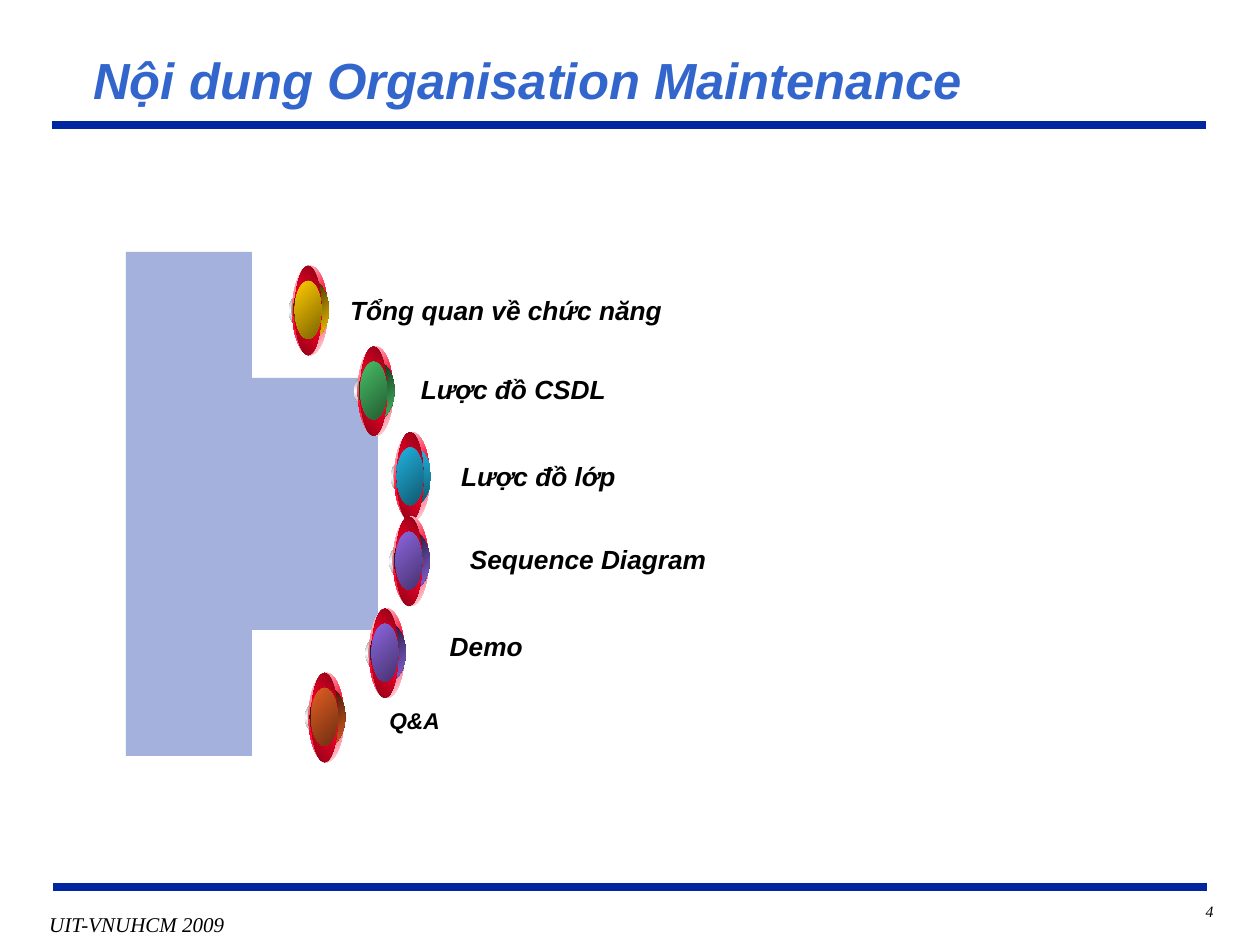
import math
from pptx import Presentation
from pptx import util as u
from pptx.dml.color import RGBColor
from pptx.enum import shapes, text
from pptx.oxml import ns
from lxml import etree

COLORS = {
    "navy": "00279F", "title": "3366CC", "black": "000000", "white": "FFFFFF",
    "gray": "767676", "silver": "A2A2A2", "red": "FC0128", "maroon": "880116",
    "gold": "FFCC00", "dark gold": "7C6300",
    "green": "48BE67", "dark green": "235C32",
    "blue": "21B3E1", "dark blue": "10576D",
    "purple": "8D67E1", "dark purple": "45326D",
    "orange": "E35E23", "dark orange": "6E2E11",
}


def rgb(name):
    return RGBColor.from_string(COLORS[name])


def box(left, top, width, height):
    return [u.Inches(value) for value in (left, top, width, height)]


class AgendaSlide:
    font = "Arial"
    footer_font = "Times New Roman"

    def __init__(self, presentation):
        self.slide = presentation.slides.add_slide(presentation.slide_layouts[5])
        self.shapes = self.slide.shapes

    def set_text(self, shape, words, size, font, color="black", bold=True,
                 align=text.PP_ALIGN.LEFT, anchor=text.MSO_ANCHOR.MIDDLE, wrap=False,
                 margins=(0.1, 0.05)):
        frame = shape.text_frame
        frame.text = words
        frame.word_wrap = wrap
        frame.auto_size = text.MSO_AUTO_SIZE.NONE
        frame.vertical_anchor = anchor
        frame.margin_left = frame.margin_right = u.Inches(margins[0])
        frame.margin_top = frame.margin_bottom = u.Inches(margins[1])
        paragraph = frame.paragraphs[0]
        paragraph.alignment = align
        paragraph.font.name = font
        paragraph.font.size = u.Pt(size)
        paragraph.font.bold = bold
        paragraph.font.italic = True
        paragraph.font.color.rgb = rgb(color)

    def title(self, words):
        heading = self.shapes.title
        heading.left, heading.top, heading.width, heading.height = box(0.66, 0.33, 8.87, 0.59)
        self.set_text(heading, words, 29, self.font, "title", wrap=True, margins=(0.08, 0.04))

    def rule(self, left, top, width):
        line = self.shapes.add_connector(
            shapes.MSO_CONNECTOR.STRAIGHT, u.Inches(left), u.Inches(top),
            u.Inches(left + width), u.Inches(top))
        line.line.color.rgb = rgb("navy")
        line.line.width = u.Pt(4.5)
        etree.SubElement(line._element.spPr, ns.qn("a:effectLst"))

    def footer(self, words, place, size, align, wrap, margins):
        note = self.shapes.add_textbox(*box(*place))
        self.set_text(note, words, size, self.footer_font, bold=False, align=align,
                      anchor=text.MSO_ANCHOR.TOP, wrap=wrap, margins=margins)

    def half_disc(self, left, middle, width, height, steps=90):
        arc = [(left + width * math.sin(math.pi * i / steps),
                middle - height / 2 * math.cos(math.pi * i / steps))
               for i in range(steps + 1)]
        builder = self.shapes.build_freeform(*arc[0], scale=u.Inches(1))
        builder.add_line_segments(arc[1:], close=True)
        disc = builder.convert_to_shape()
        disc.shadow.inherit = False
        disc.line.fill.background()
        disc.fill.solid()
        disc.fill.fore_color.rgb = rgb("navy")
        color = disc._element.spPr.find(".//" + ns.qn("a:srgbClr"))
        etree.SubElement(color, ns.qn("a:alpha"), val="36000")

    def label(self, words, left, top, size):
        pill = self.shapes.add_shape(
            shapes.MSO_SHAPE.ROUNDED_RECTANGLE, *box(left, top, 3.63, 0.42))
        pill.adjustments[0] = 0.5
        pill.shadow.inherit = False
        pill.fill.background()
        pill.line.color.rgb = rgb("white")
        pill.line.width = u.Pt(2.25)
        self.set_text(pill, words, size, self.font)

    def gradient(self, shape, colors, angle):
        shape.fill.gradient()
        shape.fill.gradient_angle = -angle % 360
        stops = shape._element.spPr.find(".//" + ns.qn("a:gsLst"))
        for stop in list(stops):
            stops.remove(stop)
        for i, color in enumerate(colors):
            position = 100000 * i // (len(colors) - 1)
            stop = etree.SubElement(stops, ns.qn("a:gs"), pos=str(position))
            etree.SubElement(stop, ns.qn("a:srgbClr"), val=COLORS[color])

    def bead(self, left, top, color, back_start="black", back_angle=45):
        dark = "dark " + color
        back = (back_start, dark if back_start == color else color)
        layers = [
            (0, 0.2, 0.31, 0.31, ("gray", "white", "gray"), 90),
            (0.02, 0.21, 0.28, 0.28, ("silver", "white", "silver"), 0),
            (0.03, 0, 0.28, 0.71, ("white", "red", "white"), 45),
            (0.04, 0.12, 0.28, 0.46, back, back_angle),
            (0.05, 0, 0.21, 0.71, ("maroon", "red", "maroon"), 315),
            (0.05, 0.12, 0.21, 0.46, (color, dark), 45),
        ]
        group = self.shapes.add_group_shape()
        for dx, dy, width, height, colors, angle in layers:
            oval = group.shapes.add_shape(
                shapes.MSO_SHAPE.OVAL, *box(left + dx, top + dy, width, height))
            oval.shadow.inherit = False
            oval.line.fill.background()
            self.gradient(oval, colors, angle)


def main():
    presentation = Presentation()
    presentation.slide_width = u.Inches(10)
    presentation.slide_height = u.Inches(7.5)

    agenda = AgendaSlide(presentation)
    agenda.rule(0.41, 0.99, 9.16)
    agenda.rule(0.42, 7.04, 9.16)
    agenda.footer("UIT-VNUHCM 2009", (0.29, 7.19, 1.59, 0.29), 12,
                  text.PP_ALIGN.CENTER, False, (0.09, 0.04))
    agenda.footer("4", (8.48, 7.11, 1.25, 0.33), 9,
                  text.PP_ALIGN.RIGHT, True, (0.1, 0.05))
    agenda.title("Nội dung Organisation Maintenance")
    agenda.half_disc(1.25, 4.12, 1.61, 3.31)

    topics = [
        ("Tổng quan về chức năng", 2.62, 2.25, 15),
        ("Lược đồ CSDL", 3.18, 2.88, 15),
        ("Lược đồ lớp", 3.5, 3.57, 15),
        ("Sequence Diagram", 3.57, 4.23, 15),
        ("Demo", 3.41, 4.92, 15),
        ("Q&A", 2.93, 5.51, 13),
    ]
    for topic in topics:
        agenda.label(*topic)

    beads = [
        (2.29, 2.11, "gold"),
        (2.81, 2.75, "green"),
        (3.1, 3.43, "blue", "blue", 90),
        (3.09, 4.1, "purple"),
        (2.9, 4.83, "purple"),
        (2.42, 5.34, "orange"),
    ]
    for bead in beads:
        agenda.bead(*bead)

    presentation.save("out.pptx")


if __name__ == "__main__":
    main()
